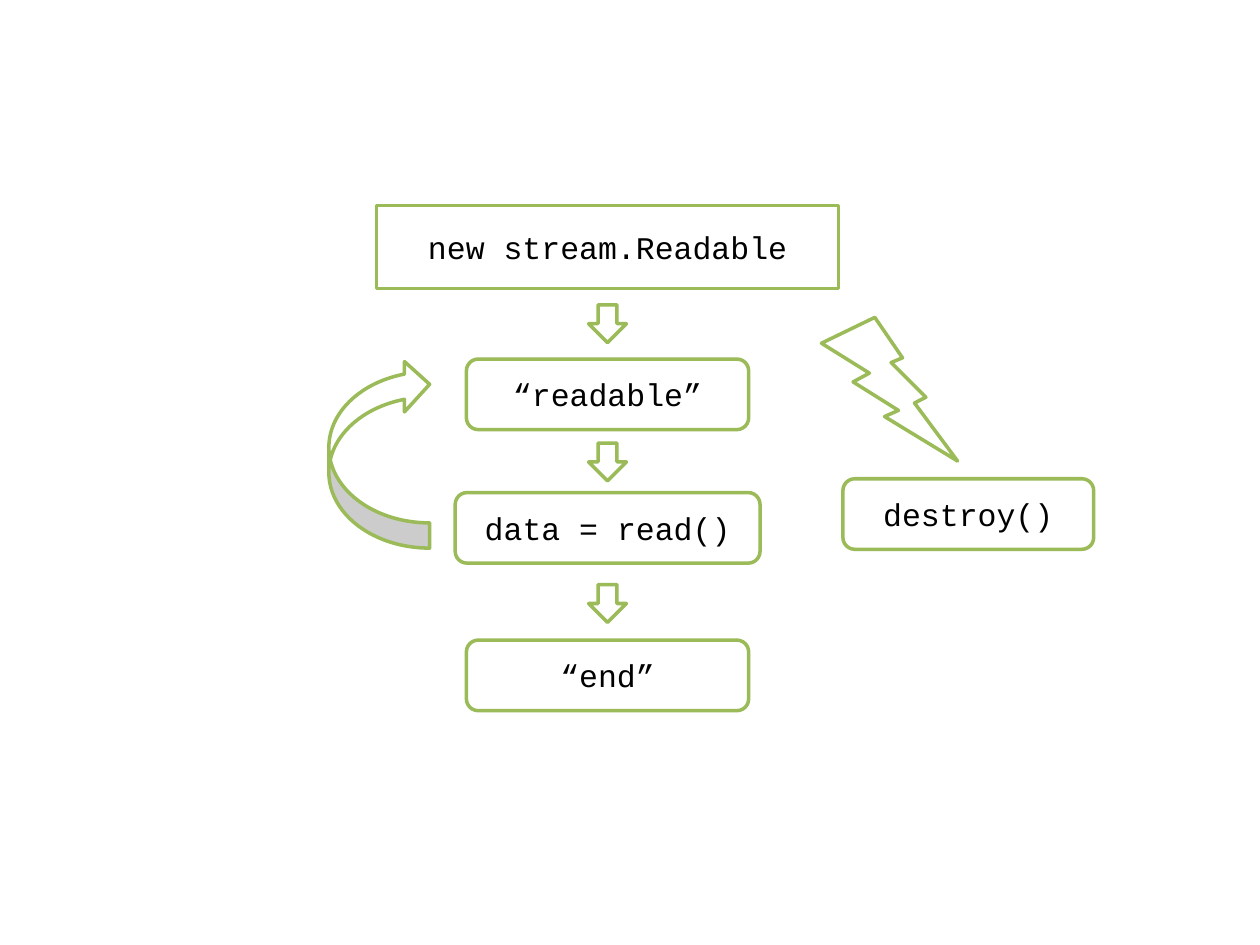
from pptx import Presentation
from pptx.dml.color import RGBColor
from pptx.enum.shapes import MSO_SHAPE as Shape
from pptx.enum.text import MSO_ANCHOR as Anchor, PP_ALIGN as Align
from pptx.util import Pt


def color(value):
    return RGBColor.from_string(value)


class FlowSlide:
    """The style and the slide of the stream flow chart."""
    fill, outline, ink = "FFFFFF", "9BBB59", "000000"
    line_width = 2
    font_format = {"name": "Courier New", "size": Pt(18), "color": ink}

    def __init__(self, presentation):
        self.slide = presentation.slides.add_slide(presentation.slide_layouts[6])

    def symbol(self, kind, left, top, width, height, rotation=0):
        shape = self.slide.shapes.add_shape(
            kind, Pt(left), Pt(top), Pt(width), Pt(height))
        shape.shadow.inherit = False
        shape.fill.solid()
        shape.fill.fore_color.rgb = color(self.fill)
        shape.line.color.rgb = color(self.outline)
        shape.line.width = Pt(self.line_width)
        shape.rotation = rotation
        return shape

    def step(self, text, center, top, width, height=40.3,
             kind=Shape.FLOWCHART_ALTERNATE_PROCESS):
        shape = self.symbol(kind, center - width / 2, top, width, height)
        frame = shape.text_frame
        frame.word_wrap = True
        frame.vertical_anchor = Anchor.MIDDLE
        paragraph = frame.paragraphs[0]
        paragraph.alignment = Align.CENTER
        run = paragraph.add_run()
        run.text = text
        for name, value in self.font_format.items():
            if name == "color":
                run.font.color.rgb = color(value)
            else:
                setattr(run.font, name, value)

    def down_arrow(self, center, top, size=21.6):
        self.symbol(Shape.DOWN_ARROW, center - size / 2, top, size, size)


presentation = Presentation()
presentation.slide_width, presentation.slide_height = Pt(720), Pt(540)
flow = FlowSlide(presentation)
axis = 347.2

# Events and calls in the main column
for text, top, width in [("“readable”", 205.2, 161.3),
                         ("data = read()", 281.5, 174.2),
                         ("“end”", 365.8, 161.3)]:
    flow.step(text, axis, top, width)

# Loop from reading back to the event
flow.symbol(Shape.CURVED_LEFT_ARROW, 187.9, 205.2, 57.6, 108, rotation=180)

# Start of the flow
flow.step("new stream.Readable", axis, 117.4, 264.2, 47.5,
          Shape.FLOWCHART_PROCESS)

# Arrows between the steps
for top in (174.2, 253.2, 334.1):
    flow.down_arrow(axis, top)

# Interruption
flow.symbol(Shape.LIGHTNING_BOLT, 469.4, 181.4, 77.8, 82.1)
flow.step("destroy()", 553.3, 273.6, 143.3)

presentation.save("out.pptx")
